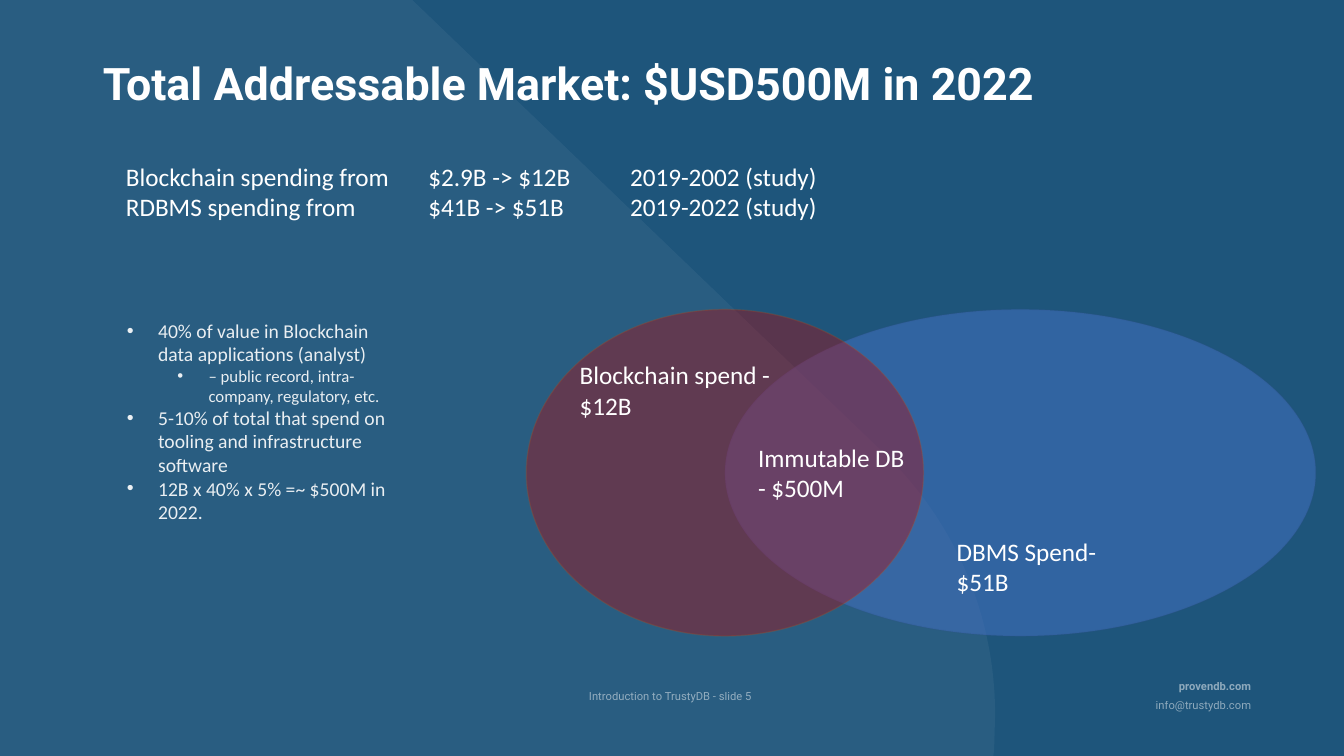
from dataclasses import dataclass

from lxml import etree
from pptx import Presentation
from pptx import util as u
from pptx.dml.fill import FillFormat
from pptx.dml.color import RGBColor
from pptx.enum import shapes, text
from pptx.oxml.ns import qn
from pptx.shapes.base import BaseShape
from pptx.slide import Slide
from pptx.text.text import TextFrame, _Paragraph

PX = 9144  # EMU in one px, 100 px to the inch
WIDTH, HEIGHT = 1333, 750
WHITE = "FFFFFF"


@dataclass(frozen=True)
class Box:
    left: int
    top: int
    width: int
    height: int


@dataclass(frozen=True)
class Line:
    words: str
    size: int = 18
    font: str = "Calibri"
    opacity: int = 100
    bold: bool = False
    align: text.PP_ALIGN = text.PP_ALIGN.LEFT
    spacing: float = 1.0
    before: int = 0
    bullet_level: int | None = None
    tabs: tuple[int, ...] = ()


@dataclass(frozen=True)
class TextBlock:
    box: Box
    lines: tuple[Line, ...]


@dataclass(frozen=True)
class Market:
    box: Box
    fill: str
    opacity: int
    outline: str


def footer(words: str, align: text.PP_ALIGN, before: int = 0, bold: bool = False) -> Line:
    return Line(words, 8, "Roboto", 50, bold, align, 0.9, before)


def point(words: str, level: int = 0) -> Line:
    return Line(words, 14 - 2 * level, opacity=90, bullet_level=level)


TITLE = TextBlock(Box(92, 66, 1150, 48), (
    Line("Total Addressable Market: $USD500M in 2022", 32, "Roboto", bold=True, spacing=0.9),))

MARKETS = (
    Market(Box(719, 307, 586, 324), "4472C4", 52, "325491"),
    Market(Box(522, 307, 394, 324), "C00000", 37, "C55A11"),
)

FOOTERS = (
    TextBlock(Box(1071, 671, 180, 46), (
        footer("provendb.com", text.PP_ALIGN.RIGHT, bold=True),
        footer("info@trustydb.com", text.PP_ALIGN.RIGHT, before=5))),
    TextBlock(Box(187, 681, 956, 26), (
        footer("Introduction to TrustyDB - slide 5", text.PP_ALIGN.CENTER),)),
)

BODY = (
    TextBlock(Box(565, 352, 232, 71), (Line("Blockchain spend - $12B"),)),
    TextBlock(Box(939, 527, 202, 71), (Line("DBMS Spend- $51B"),)),
    TextBlock(Box(742, 434, 170, 71), (Line("Immutable DB - $500M"),)),
    TextBlock(Box(115, 155, 842, 71), (
        Line("Blockchain spending from\t$2.9B -> $12B\t2019-2002 (study)", tabs=(300, 500)),
        Line("RDBMS spending from\t$41B -> $51B\t2019-2022 (study)", tabs=(300, 500)))),
    TextBlock(Box(116, 311, 292, 215), (
        point("40% of value in Blockchain data applications (analyst)"),
        point("– public record, intra-company, regulatory, etc.", 1),
        point("5-10% of total that spend on tooling and infrastructure software"),
        point("12B x 40% x 5% =~ $500M in 2022."))),
)


def paint(fill: FillFormat, colour: str, opacity: int = 100) -> None:
    fill.solid()
    fill.fore_color.rgb = RGBColor.from_string(colour)
    if opacity < 100:
        clr = fill._xPr.find(qn("a:solidFill")).find(qn("a:srgbClr"))
        etree.SubElement(clr, qn("a:alpha"), val=str(opacity * 1000))


def emu(box: Box) -> tuple[int, int, int, int]:
    return box.left * PX, box.top * PX, box.width * PX, box.height * PX


def add_marks(paragraph: _Paragraph, line: Line) -> None:
    """Adds the bullet and tab stops of a line."""
    props = paragraph._p.get_or_add_pPr()
    if line.bullet_level is not None:
        paragraph.level = line.bullet_level
        props.set("marL", str((31 + 50 * line.bullet_level) * PX))
        props.set("indent", str(-31 * PX))
        etree.SubElement(props, qn("a:buFont"), typeface="Arial")
        etree.SubElement(props, qn("a:buChar"), char="•")
    if line.tabs:
        stops = etree.SubElement(props, qn("a:tabLst"))
        for stop in line.tabs:
            etree.SubElement(stops, qn("a:tab"), pos=str(stop * PX), algn="l")


def write(frame: TextFrame, lines: tuple[Line, ...]) -> None:
    frame.word_wrap = True
    frame.auto_size = text.MSO_AUTO_SIZE.NONE
    for index, line in enumerate(lines):
        paragraph = frame.add_paragraph() if index else frame.paragraphs[0]
        layout = {"alignment": line.align, "line_spacing": line.spacing,
                  "space_before": u.Pt(line.before)}
        for name, value in layout.items():
            setattr(paragraph, name, value)
        add_marks(paragraph, line)
        run = paragraph.add_run()
        run.text = line.words
        for name, value in {"name": line.font, "size": u.Pt(line.size), "bold": line.bold}.items():
            setattr(run.font, name, value)
        paint(run.font.fill, WHITE, line.opacity)


def add_text(slide: Slide, block: TextBlock) -> None:
    write(slide.shapes.add_textbox(*emu(block.box)).text_frame, block.lines)


def add_market(slide: Slide, market: Market) -> None:
    ellipse = slide.shapes.add_shape(shapes.MSO_SHAPE.OVAL, *emu(market.box))
    ellipse.shadow.inherit = False
    paint(ellipse.fill, market.fill, market.opacity)
    ellipse.line.width = u.Pt(1)
    paint(ellipse.line.fill, market.outline, 20)


def bezier(controls: tuple[tuple[int, int], ...], steps: int) -> list[tuple[float, float]]:
    """Points along a cubic curve, without its first point."""
    points = []
    for step in range(1, steps + 1):
        t = step / steps
        weights = ((1 - t) ** 3, 3 * t * (1 - t) ** 2, 3 * t * t * (1 - t), t ** 3)
        points.append(tuple(sum(w * c[axis] for w, c in zip(weights, controls))
                            for axis in (0, 1)))
    return points


def add_backdrop(slide: Slide) -> BaseShape:
    curve = ((874, 447), (950, 519), (987, 614), (987, 709))
    outline = [(409, 0), curve[0], *bezier(curve, 40), (986, 744), (985, 752), (0, 752)]
    builder = slide.shapes.build_freeform(0, 0)
    builder.add_line_segments([(round(x * PX), round(y * PX)) for x, y in outline], close=True)
    backdrop = builder.convert_to_shape()
    backdrop.shadow.inherit = False
    backdrop.line.fill.background()
    paint(backdrop.fill, WHITE, 5)
    return backdrop


def place_title(slide: Slide, backdrop: BaseShape) -> None:
    title = slide.shapes.title
    backdrop.element.addnext(title.element)
    for name, value in zip(("left", "top", "width", "height"), emu(TITLE.box)):
        setattr(title, name, value)
    title.text_frame.vertical_anchor = text.MSO_ANCHOR.BOTTOM
    write(title.text_frame, TITLE.lines)


def main() -> None:
    deck = Presentation()
    deck.slide_width, deck.slide_height = WIDTH * PX, HEIGHT * PX
    slide = deck.slides.add_slide(deck.slide_layouts[5])
    paint(slide.background.fill, "1E557B")
    for block in FOOTERS:
        add_text(slide, block)
    place_title(slide, add_backdrop(slide))
    for market in MARKETS:
        add_market(slide, market)
    for block in BODY:
        add_text(slide, block)
    deck.save("out.pptx")


if __name__ == "__main__":
    main()
